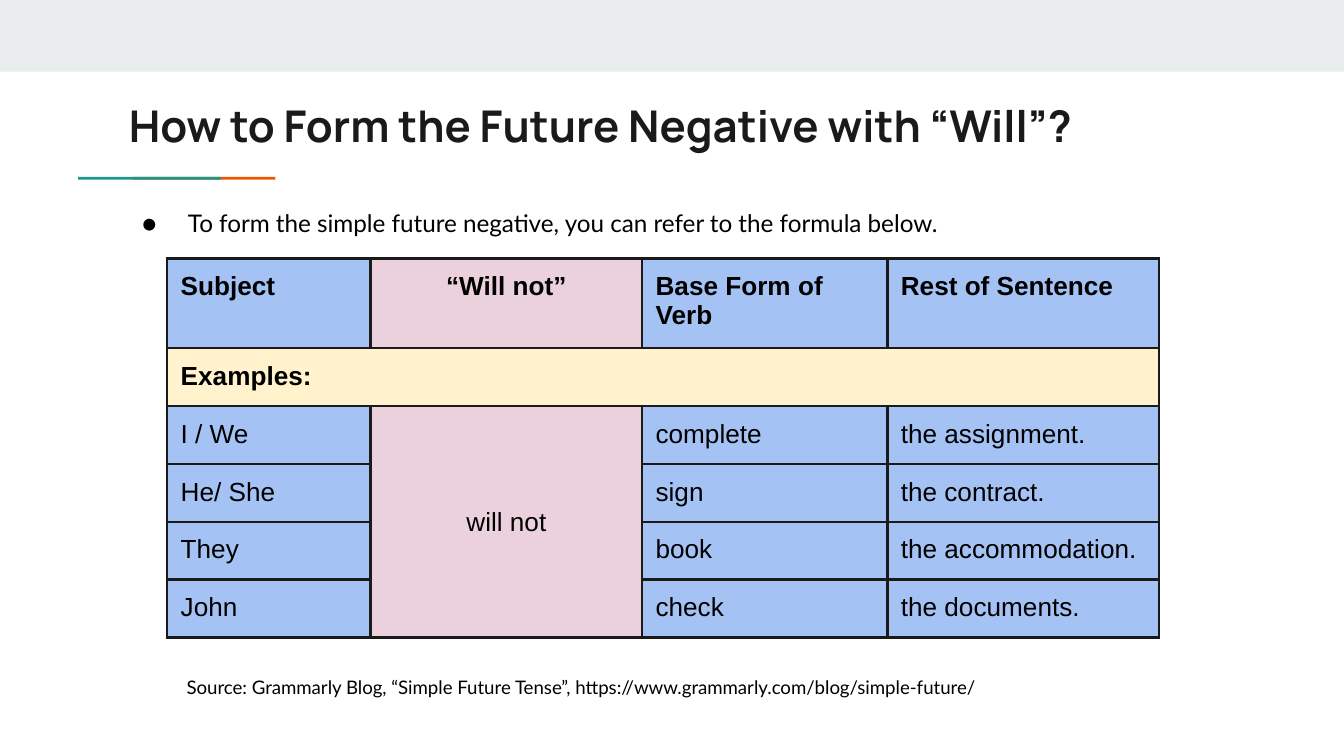
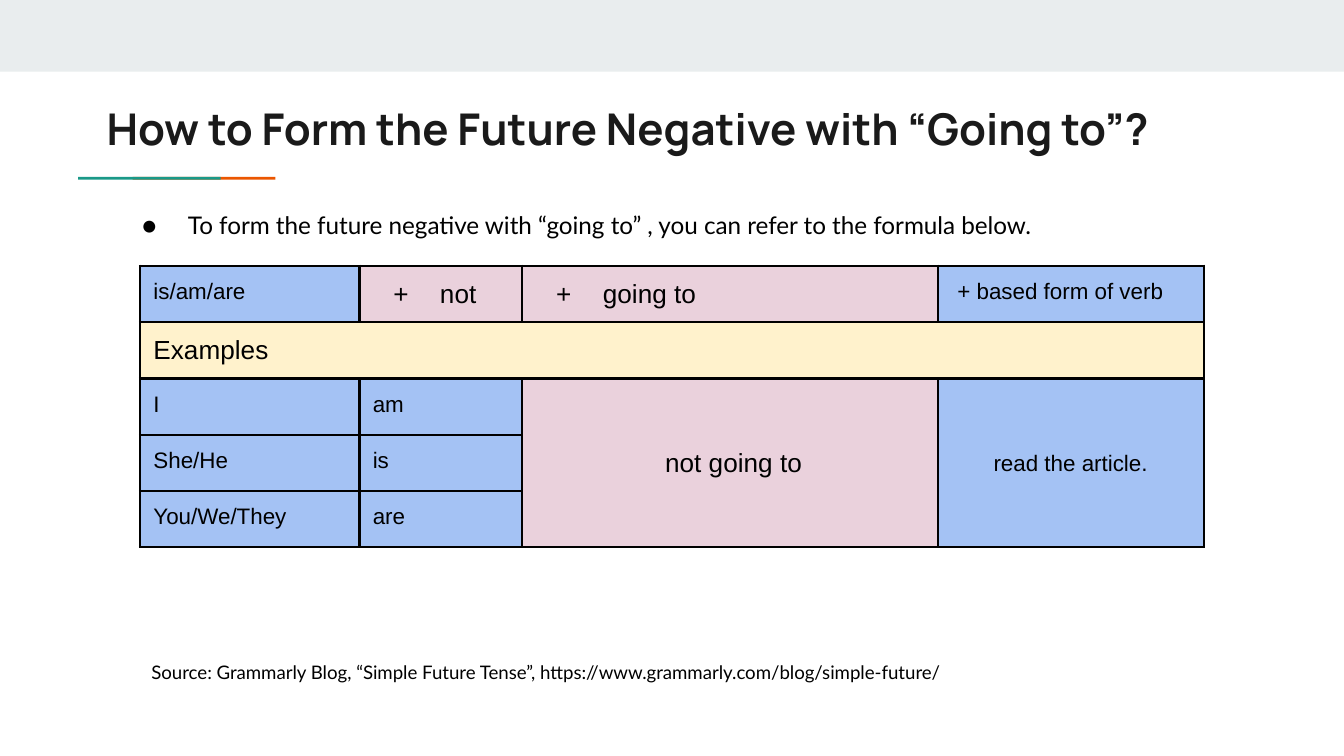
"""Build two slides on forming the future negative."""
from dataclasses import dataclass
from functools import partial

from lxml.etree import SubElement
from pptx import Presentation
from pptx.dml.color import RGBColor
from pptx.enum.shapes import MSO_SHAPE
from pptx.enum.text import MSO_ANCHOR, PP_ALIGN
from pptx.oxml import parse_xml
from pptx.oxml.ns import nsdecls, qn
from pptx.util import Pt


@dataclass(frozen=True)
class Theme:
    """Colours, fonts, type sizes and insets shared by the slides."""

    ink: str = "1A1A1A"
    black: str = "000000"
    band: str = "E9EDEE"
    teal: str = "1A9988"
    orange: str = "EB5600"
    blue: str = "A4C2F4"
    pink: str = "EAD1DC"
    cream: str = "FFF2CC"
    title_font: str = "Manrope"
    body_font: str = "Lato"
    table_font: str = "Arial"
    title_size: float = 23.4
    body_size: float = 13
    large_size: float = 14
    small_size: float = 12
    source_size: float = 10
    inset: float = 7.2
    cell_bottom: float = 6.2
    border: float = 1.5


THEME = Theme()
SOURCE = ("Source: Grammarly Blog, “Simple Future Tense”, "
          "https://www.grammarly.com/blog/simple-future/")


@dataclass(frozen=True)
class Cell:
    """One table cell, its look and the rows and columns it spans."""

    text: str
    fill: str = THEME.blue
    size: float = THEME.large_size
    bold: bool = False
    centred: bool = False
    bullet: str = ""
    rows: int = 1
    columns: int = 1


def write(frame, text, *, size, font, colour=THEME.black, bold=False,
          align=PP_ALIGN.LEFT, spacing=None, bullet="", hanging=24.5):
    """Write one formatted paragraph into a text frame."""
    paragraph = frame.paragraphs[0]
    paragraph.text = text
    if bullet:
        properties = paragraph._p.get_or_add_pPr()
        properties.set("marL", str(Pt(36)))
        properties.set("indent", str(-Pt(hanging)))
        tint = SubElement(properties, qn("a:buClr"))
        SubElement(tint, qn("a:srgbClr"), val=THEME.black)
        SubElement(properties, qn("a:buFont"), typeface=font)
        SubElement(properties, qn("a:buChar"), char=bullet)
    paragraph.alignment = align
    if spacing:
        paragraph.line_spacing = spacing
    for run in paragraph.runs:
        run.font.size = Pt(size)
        run.font.name = font
        run.font.bold = bold
        run.font.color.rgb = RGBColor.from_string(colour)


class Deck:
    """Hold the style and the current slide, and add elements to it."""

    def __init__(self, theme):
        """Start a widescreen presentation."""
        self.theme = theme
        self.presentation = Presentation()
        self.presentation.slide_width = Pt(720)
        self.presentation.slide_height = Pt(405)
        self.slide = None

    def new_slide(self):
        """Add a slide with the top band and the two-colour rule."""
        layout = self.presentation.slide_layouts[6]
        self.slide = self.presentation.slides.add_slide(layout)
        self.block(0, 0, 720, 38.4, self.theme.band)
        self.block(71.1, 94.8, 76.4, 1.5, self.theme.orange)
        self.block(41.8, 94.8, 76.4, 1.5, self.theme.teal)

    def block(self, left, top, width, height, colour):
        """Add a plain filled rectangle."""
        block = self.slide.shapes.add_shape(
            MSO_SHAPE.RECTANGLE, Pt(left), Pt(top), Pt(width), Pt(height))
        block.shadow.inherit = False
        block.fill.solid()
        block.fill.fore_color.rgb = RGBColor.from_string(colour)
        block.line.fill.background()

    def text(self, text, left, top, width, height, **style):
        """Add a wrapping text box with even insets."""
        box = self.slide.shapes.add_textbox(
            Pt(left), Pt(top), Pt(width), Pt(height))
        self.inset(box.text_frame)
        box.text_frame.word_wrap = True
        write(box.text_frame, text, **style)

    def title(self, text, left, top, width):
        """Add the slide title."""
        self.text(text, left, top, width, 42.5, size=self.theme.title_size,
                  font=self.theme.title_font, colour=self.theme.ink, bold=True)

    def point(self, text, top):
        """Add the bulleted lead sentence."""
        self.text(text, 57.6, top, 605.5, 34, size=self.theme.body_size,
                  font=self.theme.body_font, spacing=1.15, bullet="●")

    def source(self, left, top, width):
        """Add the source line."""
        self.text(SOURCE, left, top, width, 26.6, font=self.theme.body_font,
                  size=self.theme.source_size)

    def inset(self, target):
        """Set the same inset on all sides of a frame or cell."""
        for side in ("left", "right", "top", "bottom"):
            setattr(target, f"margin_{side}", Pt(self.theme.inset))

    def table(self, left, top, widths, heights, grid, border):
        """Add a table from a grid where None marks a merged-away cell."""
        table = self.slide.shapes.add_table(
            len(heights), len(widths), Pt(left), Pt(top),
            Pt(sum(widths)), Pt(sum(heights))).table
        table.first_row = table.horz_banding = False
        for column, width in zip(table.columns, widths):
            column.width = Pt(width)
        for row, height in zip(table.rows, heights):
            row.height = Pt(height)
        for r, line in enumerate(grid):
            for c, content in enumerate(line):
                if content:
                    self.cell(table, r, c, content, border)

    def cell(self, table, r, c, content, border):
        """Fill, border, merge and write one table cell."""
        last_row, last_column = r + content.rows - 1, c + content.columns - 1
        for row in range(r, last_row + 1):
            for column in range(c, last_column + 1):
                self.paint(table.cell(row, column), content.fill, border)
        cell = table.cell(r, c)
        if (last_row, last_column) != (r, c):
            cell.merge(table.cell(last_row, last_column))
        if content.rows > 1:
            cell.vertical_anchor = MSO_ANCHOR.MIDDLE
        write(cell.text_frame, content.text, size=content.size,
              font=self.theme.table_font, bold=content.bold,
              align=PP_ALIGN.CENTER if content.centred else PP_ALIGN.LEFT,
              bullet=content.bullet, hanging=25)

    def paint(self, cell, fill, border):
        """Set the insets, fill and four borders of a cell."""
        self.inset(cell)
        cell.margin_bottom = Pt(self.theme.cell_bottom)
        cell.fill.solid()
        cell.fill.fore_color.rgb = RGBColor.from_string(fill)
        properties = cell._tc.get_or_add_tcPr()
        for index, edge in enumerate("LRTB"):
            properties.insert(index, parse_xml(
                f'<a:ln{edge} {nsdecls("a")} w="{Pt(self.theme.border)}">'
                f'<a:solidFill><a:srgbClr val="{border}"/></a:solidFill>'
                f'</a:ln{edge}>'))


def build_will(deck):
    """Build the slide on the negative with will."""
    head = partial(Cell, bold=True)
    examples = [("I / We", "complete", "the assignment."),
                ("He/ She", "sign", "the contract."),
                ("They", "book", "the accommodation."),
                ("John", "check", "the documents.")]
    will_not = Cell("will not", THEME.pink, centred=True, rows=len(examples))
    grid = [
        [head("Subject"), head("“Will not”", THEME.pink, centred=True),
         head("Base Form of Verb"), head("Rest of Sentence")],
        [head("Examples:", THEME.cream, columns=4)],
    ]
    for index, (subject, verb, rest) in enumerate(examples):
        grid.append([Cell(subject), None if index else will_not,
                     Cell(verb), Cell(rest)])

    deck.new_slide()
    deck.title("How to Form the Future Negative with “Will”?", 61.9, 45.8, 625.7)
    deck.point("To form the simple future negative, "
               "you can refer to the formula below.", 102.2)
    deck.table(89.6, 138.4, [109, 145.4, 131.4, 145.4], [48.2] + [31] * 5,
               grid, THEME.ink)
    deck.source(92.9, 356, 551.5)


def build_going_to(deck):
    """Build the slide on the negative with going to."""
    small = partial(Cell, size=THEME.small_size)
    added = partial(Cell, fill=THEME.pink, bullet="+")
    examples = [("I", "am"), ("She/He", "is"), ("You/We/They", "are")]
    shared = {"centred": True, "rows": len(examples)}
    endings = [Cell(" not going to", THEME.pink, **shared),
               small("read the article.", **shared)]
    grid = [
        [small("is/am/are"), added("not"), added("going to"),
         small(" + based form of verb")],
        [Cell("Examples", THEME.cream, columns=4)],
    ]
    for index, (subject, verb) in enumerate(examples):
        grid.append([small(subject), small(verb)] + ([] if index else endings))

    deck.new_slide()
    deck.title("How to Form the Future Negative with “Going to”?",
               50, 47.5, 605.5)
    deck.point("To form the future negative with “going to” , "
               "you can refer to the formula below.", 103.2)
    deck.table(75, 142.4, [117.5, 87.3, 222.6, 142.5], [30.1] * 5,
               grid, THEME.black)
    deck.source(74, 347.8, 572.4)


def main():
    """Build and save the presentation."""
    deck = Deck(THEME)
    build_will(deck)
    build_going_to(deck)
    deck.presentation.save("out.pptx")


if __name__ == "__main__":
    main()
